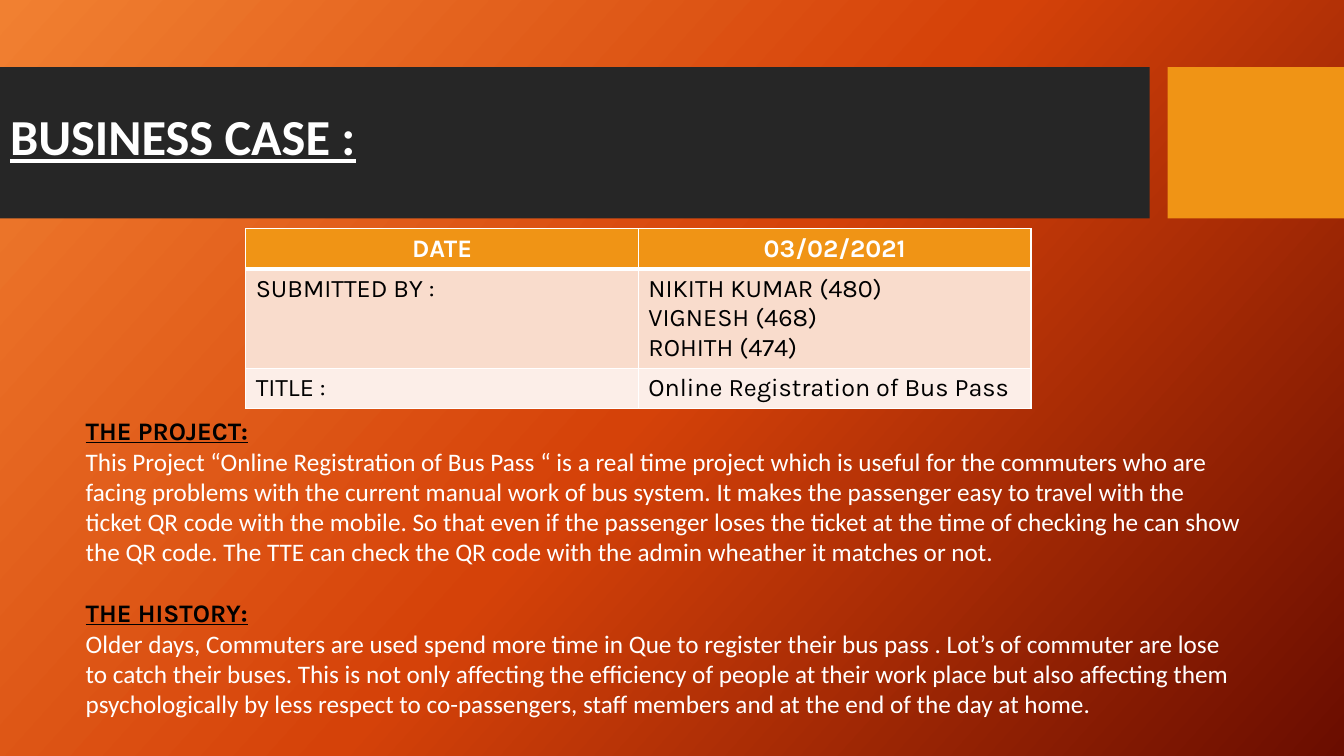
"""Build the business case slide for a bus pass project."""
from copy import deepcopy
from dataclasses import dataclass

from lxml.etree import SubElement
from pptx import Presentation
from pptx.dml.color import RGBColor
from pptx.enum.shapes import MSO_SHAPE
from pptx.enum.text import MSO_ANCHOR, MSO_AUTO_SIZE, PP_ALIGN
from pptx.oxml.ns import qn
from pptx.slide import Slide
from pptx.table import _Cell as Cell
from pptx.text.text import Font
from pptx.util import Emu, Pt


@dataclass(frozen=True)
class Theme:
    white: str = "FFFFFF"
    black: str = "000000"
    dark: str = "262626"
    amber: str = "F09415"
    blush: str = "F9DCCC"
    pale: str = "FCEEE8"
    glow: tuple[str, ...] = ("F18031", "D54209", "6A0D00")
    angle: int = 42
    plain: str = "Calibri"
    wide: str = "Karla"
    big: int = 36
    small: int = 18
    gap: int = 22
    thin: int = 1
    thick: int = 3


@dataclass(frozen=True)
class Box:
    left: int
    top: int
    width: int
    height: int

    def emu(self) -> tuple[Emu, ...]:
        return tuple(map(px, (self.left, self.top, self.width, self.height)))


@dataclass(frozen=True)
class Bar:
    box: Box
    fill: str


@dataclass(frozen=True)
class Row:
    height: int
    fill: str
    cells: tuple[str, str]


@dataclass(frozen=True)
class Part:
    head: str
    body: str


THEME = Theme()
PAGE = Box(0, 0, 1280, 720)
TITLE = Box(0, 101, 469, 64)
GRID = Box(234, 218, 748, 171)
BODY = Box(72, 391, 1120, 300)
BARS = (
    Bar(Box(0, 64, 1095, 144), THEME.dark),
    Bar(Box(1112, 64, 168, 144), THEME.amber),
)
ROWS = (
    Row(38, THEME.amber, ("DATE", "03/02/2021")),
    Row(95, THEME.blush, ("SUBMITTED BY :", "NIKITH KUMAR (480)\nVIGNESH (468)\nROHITH (474)")),
    Row(38, THEME.pale, ("TITLE :", "Online Registration of Bus Pass")),
)
PARTS = (
    Part(
        "THE PROJECT:",
        "This Project “Online Registration of Bus Pass “ is a real time project which is useful "
        "for the commuters who are facing problems with the current manual work of bus system. "
        "It makes the passenger easy to travel with the ticket QR code with the mobile. So that "
        "even if the passenger loses the ticket at the time of checking he can show the QR code. "
        "The TTE can check the QR code with the admin wheather it matches or not.",
    ),
    Part(
        "THE HISTORY:",
        "Older days, Commuters are used spend more time in Que to register their bus pass . "
        "Lot’s of commuter are lose to catch their buses. This is not only affecting the "
        "efficiency of people at their work place but also affecting them psychologically by "
        "less respect to co-passengers, staff members and at the end of the day at home.",
    ),
)


def px(count: int) -> Emu:
    return Emu(count * 9525)


def style(font: Font, name: str, size: int, tint: str, bold: bool, under: bool = False) -> None:
    font.name, font.size = name, Pt(size)
    font.bold, font.underline = bold, under
    font.color.rgb = RGBColor.from_string(tint)


def place(shape, box: Box) -> None:
    shape.left, shape.top, shape.width, shape.height = box.emu()


def paint(slide: Slide) -> None:
    fill = slide.background.fill
    fill.gradient()
    fill.gradient_angle = 360 - THEME.angle
    stops = slide.element.find(".//" + qn("a:gsLst"))
    stops.append(deepcopy(stops[-1]))
    last = len(THEME.glow) - 1
    for spot, (stop, tint) in enumerate(zip(fill.gradient_stops, THEME.glow)):
        stop.position = spot / last
        stop.color.rgb = RGBColor.from_string(tint)


def add_bars(slide: Slide) -> None:
    for spot, bar in enumerate(BARS, 2):
        shape = slide.shapes.add_shape(MSO_SHAPE.RECTANGLE, *bar.box.emu())
        shape.shadow.inherit = False
        shape.fill.solid()
        shape.fill.fore_color.rgb = RGBColor.from_string(bar.fill)
        shape.line.fill.background()
        slide.shapes.element.insert(spot, shape.element)


def add_title(slide: Slide) -> None:
    title = slide.shapes.title
    place(title, TITLE)
    frame = title.text_frame
    frame.text = "BUSINESS CASE :"
    frame.auto_size = MSO_AUTO_SIZE.NONE
    frame.vertical_anchor = MSO_ANCHOR.MIDDLE
    para = frame.paragraphs[0]
    para.alignment, para.line_spacing = PP_ALIGN.LEFT, 0.9
    style(para.font, THEME.plain, THEME.big, THEME.white, True, True)


def edge(cell: Cell, sides: dict[str, int]) -> None:
    props = cell._tc.get_or_add_tcPr()
    for spot, (side, width) in enumerate(sides.items()):
        line = SubElement(props, qn(f"a:ln{side}"), w=str(Pt(width)))
        fill = SubElement(line, qn("a:solidFill"))
        SubElement(fill, qn("a:srgbClr"), val=THEME.white)
        props.insert(spot, line)


def add_grid(slide: Slide) -> None:
    table = slide.shapes.add_table(len(ROWS), 2, *GRID.emu()).table
    for col in table.columns:
        col.width = px(GRID.width // 2)
    for spot, row in enumerate(ROWS):
        table.rows[spot].height = px(row.height)
        head = spot == 0
        sides = dict.fromkeys("LRTB", THEME.thin)
        if head:
            sides["B"] = THEME.thick
        elif spot == 1:
            sides["T"] = THEME.thick
        for cell, text in zip(table.rows[spot].cells, row.cells):
            cell.text = text
            cell.fill.solid()
            cell.fill.fore_color.rgb = RGBColor.from_string(row.fill)
            edge(cell, sides)
            for para in cell.text_frame.paragraphs:
                para.alignment = PP_ALIGN.CENTER if head else PP_ALIGN.LEFT
                tint = THEME.white if head else THEME.black
                style(para.font, THEME.wide, THEME.small, tint, head)


def add_body(slide: Slide) -> None:
    body = slide.placeholders[1]
    place(body, BODY)
    frame = body.text_frame
    frame.text = "\n".join(text for part in PARTS for text in (part.head, part.body))
    frame.auto_size = MSO_AUTO_SIZE.NONE
    for spot, para in enumerate(frame.paragraphs):
        props = para._p.get_or_add_pPr()
        props.set("marL", "0")
        props.set("indent", "0")
        SubElement(props, qn("a:buNone"))
        head = spot % 2 == 0
        para.space_before = Pt(THEME.gap if head and spot else 0)
        name, tint = (THEME.wide, THEME.black) if head else (THEME.plain, THEME.white)
        style(para.font, name, THEME.small, tint, head, head)


def main() -> None:
    deck = Presentation()
    deck.slide_width, deck.slide_height = px(PAGE.width), px(PAGE.height)
    slide = deck.slides.add_slide(deck.slide_layouts[1])
    for draw in (paint, add_bars, add_title, add_grid, add_body):
        draw(slide)
    deck.save("out.pptx")


if __name__ == "__main__":
    main()
